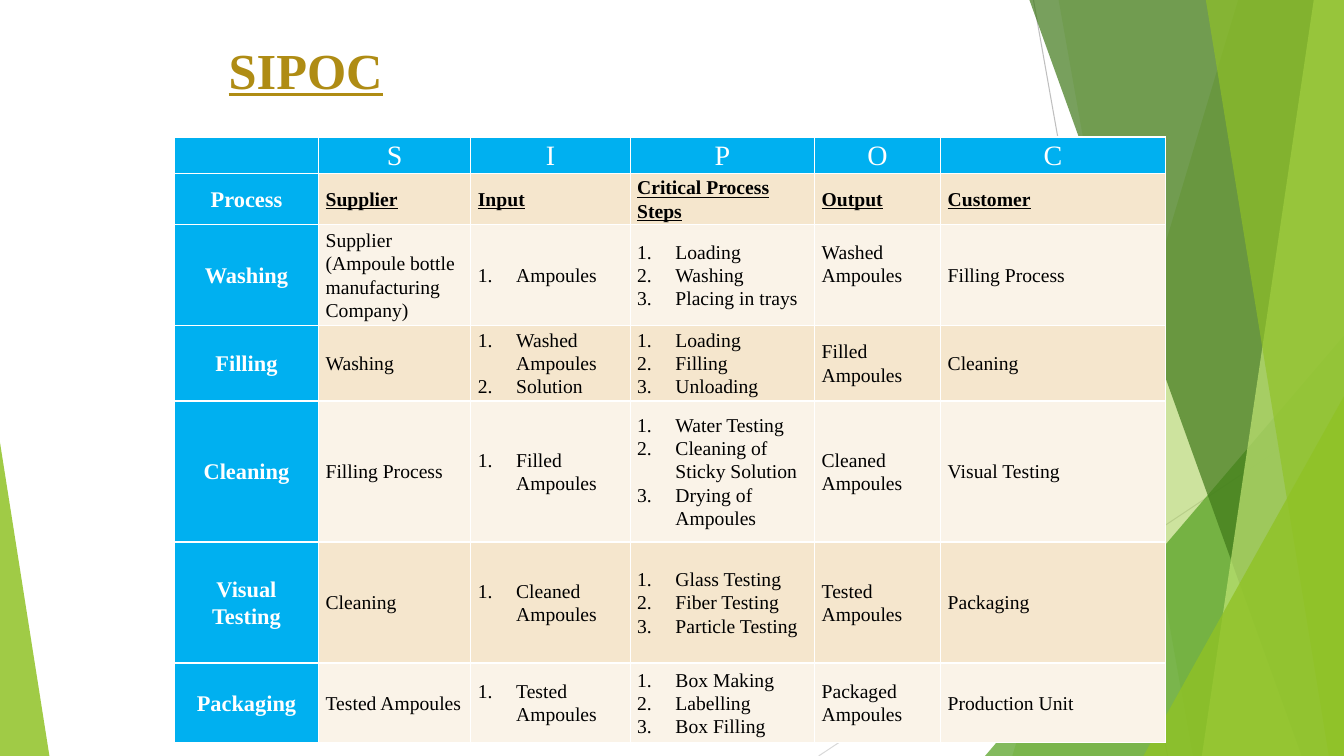
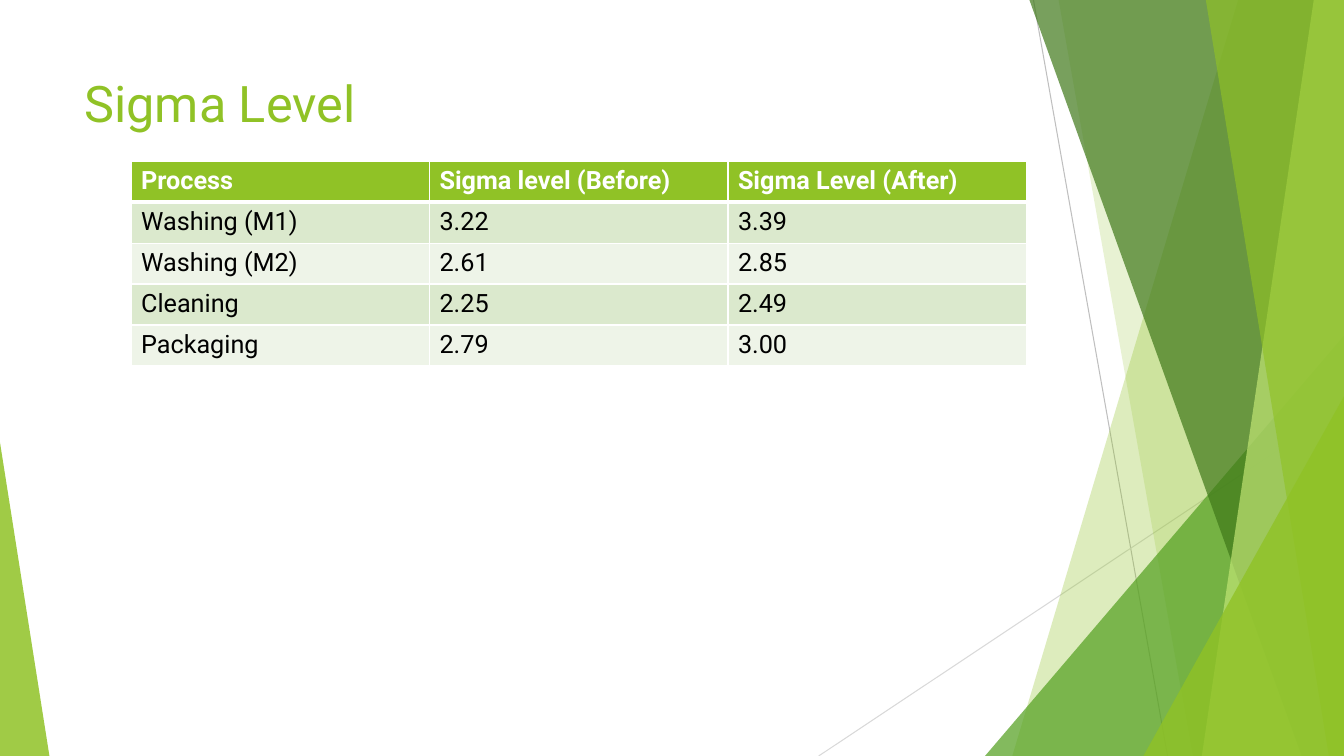
from lxml import etree
from pptx import Presentation
from pptx.dml.color import RGBColor
from pptx.enum.shapes import MSO_CONNECTOR, MSO_SHAPE
from pptx.enum.text import MSO_ANCHOR, PP_ALIGN
from pptx.oxml.ns import qn
from pptx.util import Inches, Pt

TOP, MIDDLE = MSO_ANCHOR.TOP, MSO_ANCHOR.MIDDLE
CENTER, LEFT = PP_ALIGN.CENTER, PP_ALIGN.LEFT
STRAIGHT = MSO_CONNECTOR.STRAIGHT
TRIANGLE = MSO_SHAPE.ISOSCELES_TRIANGLE

WIDTH, HEIGHT = 13.33, 7.5
SANS, SERIF = "Roboto", "Times New Roman"
COLORS = {
    "white": "FFFFFF", "black": "000000",
    "line": "BFBFBF", "pale_line": "D9D9D9",
    "lime": "90C226", "pale_lime": "C0E474",
    "green": "54A021", "dark_green": "3F7819",
    "gold": "AF8C14", "blue": "00B0F0",
    "sand": "F5E6CD", "pale_sand": "FAF3E8",
    "mint": "DBE9CD", "pale_mint": "EEF4E8",
}

# Bands reaching the right edge: top left x, bottom left x, colour, opacity
LIGHT_BANDS = [(12.28, 10.04, "lime", 30), (10.5, 11.83, "lime", 20)]
STRONG_BANDS = [
    (10.21, 12.91, "dark_green", 70),
    (13.03, 11.92, "pale_lime", 70),
    (11.96, 13.18, "lime", 65),
]

SIPOC_COLUMNS = [1.43, 1.51, 1.58, 1.83, 1.25, 2.23]
SIPOC_HEIGHTS = [0.36, 0.51, 0.8, 0.62, 1.4, 1.2, 0.79]
# A list in a cell is shown as numbered steps
SIPOC_ROWS = [
    ["", "S", "I", "P", "O", "C"],
    ["Process", "Supplier", "Input", "Critical Process Steps", "Output", "Customer"],
    ["Washing", "Supplier (Ampoule bottle manufacturing Company)", ["Ampoules"],
     ["Loading", "Washing", "Placing in trays"], "Washed Ampoules", "Filling Process"],
    ["Filling", "Washing", ["Washed Ampoules", "Solution"],
     ["Loading", "Filling", "Unloading"], "Filled Ampoules", "Cleaning"],
    ["Cleaning", "Filling Process", ["Filled Ampoules"],
     ["Water Testing", "Cleaning of Sticky Solution", "Drying of Ampoules"],
     "Cleaned Ampoules", "Visual Testing"],
    ["Visual Testing", "Cleaning", ["Cleaned Ampoules"],
     ["Glass Testing", "Fiber Testing", "Particle Testing"],
     "Tested Ampoules", "Packaging"],
    ["Packaging", "Tested Ampoules", ["Tested Ampoules"],
     ["Box Making", "Labelling", "Box Filling"],
     "Packaged Ampoules", "Production Unit"],
]
SIGMA_HEIGHT = 2.03
SIGMA_ROWS = [
    ["Process", "Sigma level (Before)", "Sigma Level (After)"],
    ["Washing (M1)", "3.22", "3.39"],
    ["Washing (M2)", "2.61", "2.85"],
    ["Cleaning", "2.25", "2.49"],
    ["Packaging", "2.79", "3.00"],
]


def rgb(name):
    return RGBColor.from_string(COLORS[name])


def paint(shape, color, opacity):
    shape.shadow.inherit = False
    shape.line.fill.background()
    shape.fill.solid()
    shape.fill.fore_color.rgb = rgb(color)
    color_element = shape.fill._xPr.find(qn("a:solidFill"))[0]
    etree.SubElement(color_element, qn("a:alpha"), val=str(opacity * 1000))


def add_hairline(slide, start, end, color):
    hairline = slide.shapes.add_connector(STRAIGHT, *map(Inches, start + end))
    hairline.line.color.rgb = rgb(color)
    hairline.line.width = Pt(0.75)
    etree.SubElement(hairline._element.spPr, qn("a:effectLst"))


def add_band(slide, top_x, bottom_x, color, opacity):
    corners = [(WIDTH, 0), (WIDTH, HEIGHT), (bottom_x, HEIGHT)]
    outline = slide.shapes.build_freeform(Inches(top_x), 0)
    outline.add_line_segments([(Inches(x), Inches(y)) for x, y in corners])
    paint(outline.convert_to_shape(), color, opacity)


def add_corner(slide, left, top, width, peak, color, opacity):
    """Triangle standing on the bottom edge; peak is 0 for left, 1 for right."""
    corner = slide.shapes.add_shape(
        TRIANGLE, Inches(left), Inches(top), Inches(width), Inches(HEIGHT - top))
    corner.adjustments[0] = peak
    paint(corner, color, opacity)


def add_backdrop(slide):
    add_hairline(slide, (10.25, 0), (11.58, HEIGHT), "line")
    add_hairline(slide, (WIDTH, 4.03), (8.12, HEIGHT), "pale_line")
    for band in LIGHT_BANDS:
        add_band(slide, *band)
    add_corner(slide, 9.77, 3.33, 3.56, 1, "green", 72)
    for band in STRONG_BANDS:
        add_band(slide, *band)
    add_corner(slide, 11.34, 3.93, 1.99, 1, "lime", 80)
    add_corner(slide, 0, 4.39, 0.49, 0, "lime", 85)


def style_font(font, size, color, face=SANS, bold=False, underline=False):
    font.size, font.name = Pt(size), face
    font.bold, font.underline = bold, underline
    font.color.rgb = rgb(color)


def add_title(slide, box, text, color="lime", anchor=TOP, **font_style):
    frame = slide.shapes.add_textbox(*map(Inches, box)).text_frame
    frame.word_wrap = True
    frame.vertical_anchor = anchor
    frame.text = text
    style_font(frame.paragraphs[0].runs[0].font, 36, color, **font_style)


def add_grid(slide, left, top, widths, heights):
    table = slide.shapes.add_table(
        len(heights), len(widths), Inches(left), Inches(top),
        Inches(sum(widths)), Inches(sum(heights))).table
    for column, width in zip(table.columns, widths):
        column.width = Inches(width)
    for row, height in zip(table.rows, heights):
        row.height = Inches(height)
    return table


def style_cell(cell, fill, top_rule=1, bottom_rule=1):
    """Draw white cell borders, then fill the cell."""
    properties = cell._tc.get_or_add_tcPr()
    for side, points in zip("LRTB", (1, 1, top_rule, bottom_rule)):
        border = etree.SubElement(properties, qn(f"a:ln{side}"), w=str(Pt(points)))
        solid = etree.SubElement(border, qn("a:solidFill"))
        etree.SubElement(solid, qn("a:srgbClr"), val=COLORS["white"])
    cell.fill.solid()
    cell.fill.fore_color.rgb = rgb(fill)


def number_paragraph(paragraph):
    properties = paragraph._p.get_or_add_pPr()
    properties.set("marL", str(Inches(0.38)))
    properties.set("indent", str(-Inches(0.38)))
    etree.SubElement(properties, qn("a:buFont"), typeface="+mj-lt")
    etree.SubElement(properties, qn("a:buAutoNum"), type="arabicPeriod")


def fill_sipoc_cell(cell, content, row, column):
    cell.vertical_anchor = MIDDLE
    cell.margin_left = cell.margin_right = Inches(0.07)
    cell.margin_top = cell.margin_bottom = 0
    is_heading = row == 0 or column == 0
    is_numbered = isinstance(content, list)
    if is_heading:
        fill, size, color = "blue", 20 if row == 0 else 16, "white"
    else:
        fill, size, color = "sand" if row % 2 else "pale_sand", 14, "black"
    style_cell(cell, fill)
    cell.text_frame.text = "\n".join(content) if is_numbered else content
    for paragraph in cell.text_frame.paragraphs:
        paragraph.line_spacing = 1.07
        paragraph.alignment = CENTER if is_heading else LEFT
        if is_numbered:
            number_paragraph(paragraph)
        for run in paragraph.runs:
            style_font(run.font, size, color, SERIF,
                       bold=row == 1 or (row > 1 and column == 0),
                       underline=row == 1 and column > 0)


def add_sipoc_table(slide, left, top):
    table = add_grid(slide, left, top, SIPOC_COLUMNS, SIPOC_HEIGHTS)
    for row, contents in enumerate(SIPOC_ROWS):
        for column, content in enumerate(contents):
            fill_sipoc_cell(table.cell(row, column), content, row, column)
    # The washing output sits above the middle of its row
    table.cell(2, 4).margin_bottom = Inches(0.23)


def add_sigma_table(slide, left, top):
    row_count = len(SIGMA_ROWS)
    table = add_grid(slide, left, top, [2.96] * 3,
                     [SIGMA_HEIGHT / row_count] * row_count)
    for row, contents in enumerate(SIGMA_ROWS):
        is_header = row == 0
        fill = "lime" if is_header else "mint" if row % 2 else "pale_mint"
        for column, content in enumerate(contents):
            cell = table.cell(row, column)
            style_cell(cell, fill, 3 if row == 1 else 1, 3 if is_header else 1)
            cell.text_frame.text = content
            style_font(cell.text_frame.paragraphs[0].runs[0].font, 18,
                       "white" if is_header else "black", bold=is_header)


def add_slide(deck):
    slide = deck.slides.add_slide(deck.slide_layouts[6])
    add_backdrop(slide)
    return slide


def build_sipoc_slide(deck):
    slide = add_slide(deck)
    add_title(slide, (2.17, 0.27, 9, 0.83), "SIPOC", "gold", MIDDLE,
              face=SERIF, bold=True, underline=True)
    add_sipoc_table(slide, 1.73, 1.36)


def build_sigma_slide(deck):
    slide = add_slide(deck)
    add_sigma_table(slide, 1.3, 1.6)
    add_title(slide, (0.74, 0.67, 9.4, 1.44), "Sigma Level")


def main():
    deck = Presentation()
    deck.slide_width, deck.slide_height = Inches(WIDTH), Inches(HEIGHT)
    build_sipoc_slide(deck)
    build_sigma_slide(deck)
    deck.save("out.pptx")


if __name__ == "__main__":
    main()
